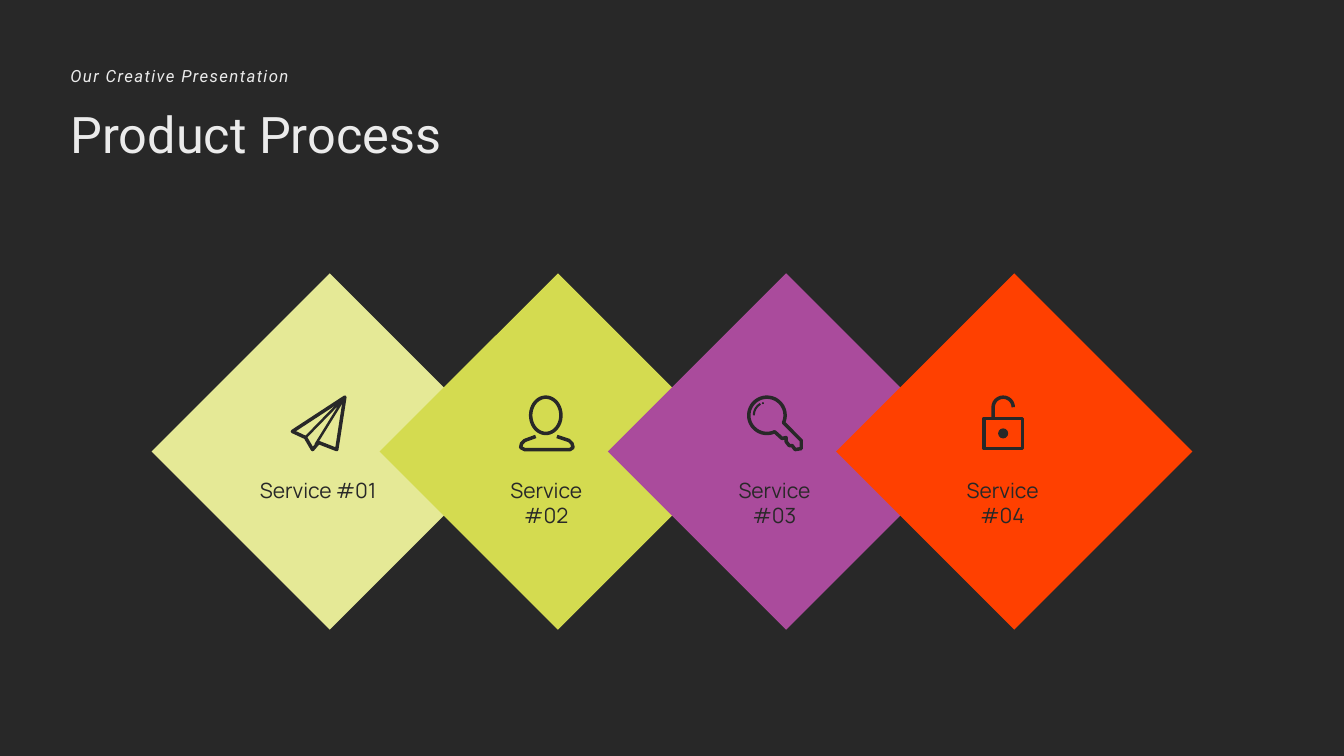
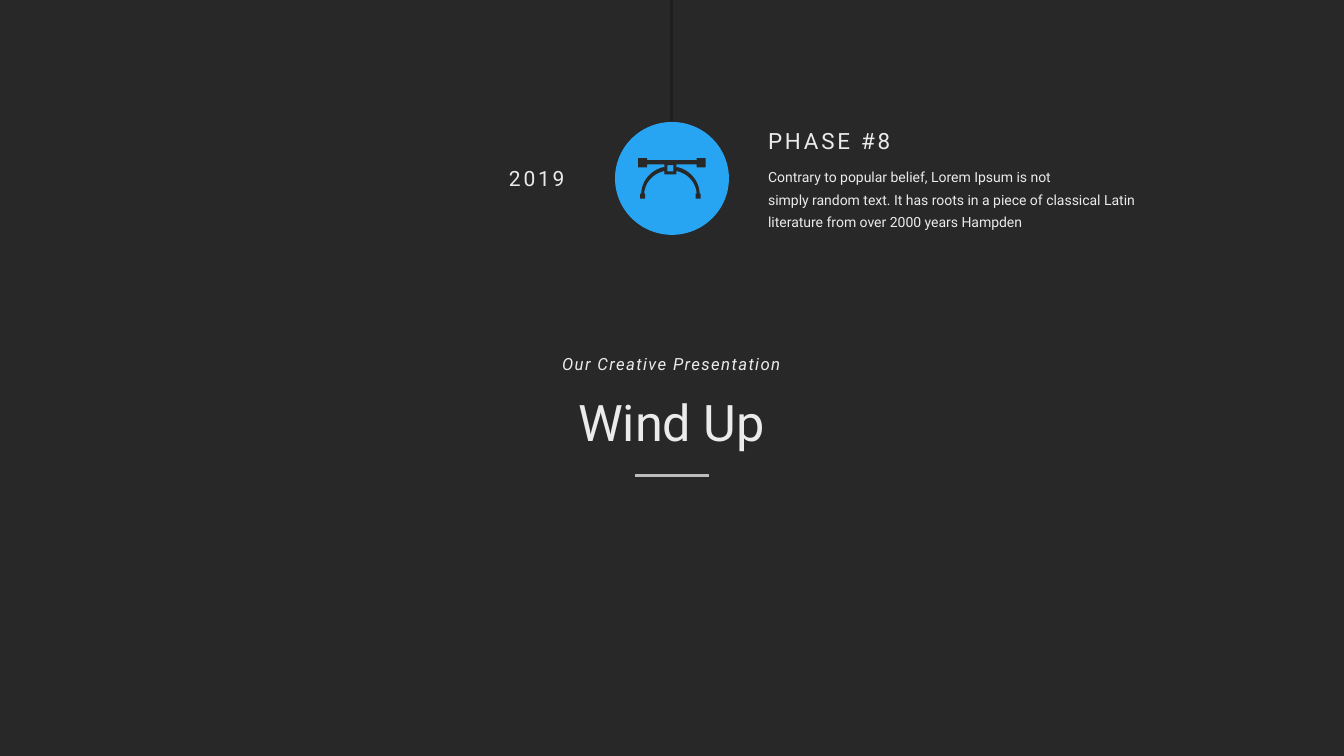
from dataclasses import dataclass
from math import cos, radians, sin
from typing import NamedTuple

from lxml.etree import SubElement
from pptx import Presentation
from pptx.dml.color import RGBColor
from pptx.enum.shapes import MSO_CONNECTOR as Connector, MSO_SHAPE as Preset
from pptx.enum.text import MSO_ANCHOR as Anchor, MSO_AUTO_SIZE as AutoSize, PP_ALIGN as Align
from pptx.oxml.ns import qn
from pptx.util import Inches, Pt

Point = tuple[float, float]


@dataclass(frozen=True)
class TextStyle:
    size: float
    font: str = "Roboto"
    color: str = "EBEBEB"
    italic: bool = False
    spacing: float = 0
    line_height: float | None = None


@dataclass(frozen=True)
class Theme:
    background: str = "282828"
    rule: str = "BDBDBD"
    timeline: str = "1E1E1E"
    phase: str = "27A5F3"
    title: TextStyle = TextStyle(36)
    tagline: TextStyle = TextStyle(12, italic=True, spacing=1)
    service: TextStyle = TextStyle(15, "Manrope", "282828")
    year: TextStyle = TextStyle(15, spacing=2)
    phase_name: TextStyle = TextStyle(16, spacing=2)
    body: TextStyle = TextStyle(10, line_height=16)
    line_width: float = 2


THEME = Theme()
TAGLINE = "Our Creative Presentation"


class Box(NamedTuple):
    left: float
    top: float
    width: float
    height: float

    def moved(self, right: float, down: float = 0) -> "Box":
        return Box(self.left + right, self.top + down, self.width, self.height)

    def lengths(self) -> list:
        return [Inches(value) for value in self]


@dataclass(frozen=True)
class Contour:
    points: list[Point]
    closed: bool = True


@dataclass(frozen=True)
class Outline:
    contours: list[Contour]
    weight: float = 0


@dataclass(frozen=True)
class Dot:
    box: Box


Icon = list[Outline | Dot]


@dataclass(frozen=True)
class Service:
    label: str
    color: str
    icon: Icon


def arc(center: Point, radius: Point, start: int, end: int, steps: int = 12) -> list[Point]:
    angles = [radians(start + (end - start) * step / steps) for step in range(steps + 1)]
    return [(center[0] + radius[0] * cos(angle), center[1] + radius[1] * sin(angle))
            for angle in angles]


NOSE = (0.54, 0.02)
PLANE: Icon = [
    Outline([Contour([NOSE, (0.02, 0.36), (0.15, 0.42), (0.22, 0.54), (0.28, 0.47),
                      (0.46, 0.54)])], 2.5),
    Outline([Contour([(0.15, 0.42), NOSE, (0.25, 0.49)], False)], 1.75),
]
PERSON: Icon = [
    Outline([
        Contour(arc((0.27, 0.2), (0.15, 0.18), 0, 360, 48)),
        Contour([(0.17, 0.41), (0.06, 0.45), (0.03, 0.48), (0.02, 0.52), (0.06, 0.54),
                 (0.51, 0.54), (0.54, 0.52), (0.53, 0.48), (0.5, 0.45), (0.38, 0.41)], False),
    ], 2.5),
]
KEY: Icon = [
    Outline([Contour([*arc((0.2, 0.2), (0.18, 0.18), 65, 384, 48), (0.54, 0.45),
                      (0.54, 0.53), (0.48, 0.54), (0.45, 0.5), (0.42, 0.5), (0.39, 0.46),
                      (0.39, 0.42), (0.35, 0.43)])], 2.5),
    Outline([Contour(arc((0.2, 0.2), (0.13, 0.13), 180, 240), False)], 1.5),
    Dot(Box(0.15, 0.07, 0.02, 0.02)),
]
LOCK: Icon = [
    Outline([
        Contour([(0.09, 0.23), (0.47, 0.23), (0.47, 0.53), (0.09, 0.53)]),
        Contour([(0.18, 0.23), *arc((0.28, 0.12), (0.1, 0.1), 180, 360)], False),
    ], 2.5),
    Dot(Box(0.23, 0.33, 0.1, 0.1)),
]

ARCH_CENTER = (0.32, 0.36)
RIGHT_LEG = [
    (0.38, 0.06), (0.38, 0.09), *arc(ARCH_CENTER, (0.29, 0.28), 285, 358),
    (0.62, 0.35), (0.62, 0.4), (0.57, 0.4), (0.57, 0.35),
    *arc(ARCH_CENTER, (0.26, 0.24), 358, 285), (0.38, 0.13), (0.38, 0.16),
]
LEFT_LEG = [(2 * ARCH_CENTER[0] - x, y) for x, y in reversed(RIGHT_LEG)]
CURVE_TOOL: Icon = [
    Outline([
        Contour([(0, 0), (0.09, 0), (0.09, 0.02), (0.58, 0.02), (0.58, 0), (0.67, 0),
                 (0.67, 0.09), (0.58, 0.09), (0.58, 0.06), *RIGHT_LEG, *LEFT_LEG,
                 (0.09, 0.06), (0.09, 0.09), (0, 0.09)]),
        Contour([(0.29, 0.07), (0.29, 0.13), (0.35, 0.13), (0.35, 0.07)]),
    ]),
]

SERVICES = [
    Service("Service #01", "E5E996", PLANE),
    Service("Service #02", "D4DB50", PERSON),
    Service("Service #03", "AA4B9C", KEY),
    Service("Service #04", "FF4000", LOCK),
]


def rgb(color: str) -> RGBColor:
    return RGBColor.from_string(color)


def write(shape, text: str, style: TextStyle, align: Align = Align.LEFT) -> None:
    frame = shape.text_frame
    frame.text = text
    frame.word_wrap = True
    frame.auto_size = AutoSize.SHAPE_TO_FIT_TEXT
    frame.vertical_anchor = Anchor.TOP
    for para in frame.paragraphs:
        para.alignment = align
        if style.line_height:
            para.line_spacing = Pt(style.line_height)
        for span in para.runs:
            span.font.name = style.font
            span.font.size = Pt(style.size)
            span.font.italic = style.italic
            span.font.color.rgb = rgb(style.color)
            if style.spacing:
                span.font._element.set("spc", str(int(style.spacing * 100)))


def add_text(page, box: Box, text: str, style: TextStyle, align: Align = Align.LEFT) -> None:
    write(page.shapes.add_textbox(*box.lengths()), text, style, align)


def paint(shape, color: str, weight: float = 0) -> None:
    shape.shadow.inherit = False
    if weight:
        shape.fill.background()
        shape.line.color.rgb = rgb(color)
        shape.line.width = Pt(weight)
    else:
        shape.fill.solid()
        shape.fill.fore_color.rgb = rgb(color)
        shape.line.fill.background()


def add_preset(page, box: Box, preset: Preset, color: str):
    shape = page.shapes.add_shape(preset, *box.lengths())
    paint(shape, color)
    return shape


def add_line(page, start: Point, end: Point, color: str) -> None:
    ends = [Inches(value) for value in (*start, *end)]
    line = page.shapes.add_connector(Connector.STRAIGHT, *ends)
    line.line.color.rgb = rgb(color)
    line.line.width = Pt(THEME.line_width)
    SubElement(line._element.spPr, qn("a:effectLst"))


def add_outline(page, left: float, top: float, outline: Outline) -> None:
    builder = None
    for contour in outline.contours:
        points = [(Inches(left + x), Inches(top + y)) for x, y in contour.points]
        if builder is None:
            builder = page.shapes.build_freeform(*points[0])
        else:
            builder.move_to(*points[0])
        builder.add_line_segments(points[1:], close=contour.closed)
    paint(builder.convert_to_shape(), THEME.background, outline.weight)


def add_icon(page, left: float, top: float, icon: Icon) -> None:
    for part in icon:
        if isinstance(part, Dot):
            add_preset(page, part.box.moved(left, top), Preset.OVAL, THEME.background)
        else:
            add_outline(page, left, top, part)


def add_page(deck, title: str, left: float, top: float, align: Align):
    page = deck.slides.add_slide(deck.slide_layouts.get_by_name("Title Only"))
    heading = page.shapes.title
    heading.left, heading.top, heading.width, heading.height = Box(
        left, top + 0.37, 4.36, 0.71).lengths()
    write(heading, title, THEME.title, align)
    add_text(page, Box(left, top, 4.36, 0.3), TAGLINE, THEME.tagline, align)
    return page


def build_process(deck) -> None:
    page = add_page(deck, "Product Process", 0.6, 0.6, Align.LEFT)
    first = Box(2.02, 3.23, 2.5, 2.5)
    step = (8.81 - first.left) / (len(SERVICES) - 1)
    for index, service in enumerate(SERVICES):
        box = first.moved(index * step)
        add_preset(page, box, Preset.RECTANGLE, service.color).rotation = 45
        add_icon(page, box.left + 0.86, 3.92, service.icon)
        add_text(page, Box(box.left + 0.45, 4.69, 1.37, 0.35),
                 service.label, THEME.service, Align.CENTER)


def build_wind_up(deck) -> None:
    page = add_page(deck, "Wind Up", 4.48, 3.46, Align.CENTER)
    add_line(page, (6.3, 4.72), (7.03, 4.72), THEME.rule)
    add_line(page, (6.66, 0), (6.66, 1.21), THEME.timeline)
    add_preset(page, Box(6.1, 1.21, 1.13, 1.12), Preset.OVAL, THEME.phase)
    add_icon(page, 6.33, 1.57, CURVE_TOOL)
    add_text(page, Box(4.95, 1.59, 0.86, 0.35), "2019", THEME.year)
    add_text(page, Box(7.52, 1.21, 2.1, 0.37), "PHASE #8", THEME.phase_name)
    add_text(page, Box(7.52, 1.57, 4.34, 0.76),
             "Contrary to popular belief, Lorem Ipsum is not\n"
             "simply random text. It has roots in a piece of classical Latin "
             "literature from over 2000 years Hampden", THEME.body)


def main() -> None:
    deck = Presentation()
    deck.slide_width, deck.slide_height = Inches(13.33), Inches(7.5)
    fill = deck.slide_master.background.fill
    fill.solid()
    fill.fore_color.rgb = rgb(THEME.background)
    build_process(deck)
    build_wind_up(deck)
    deck.save("out.pptx")


if __name__ == "__main__":
    main()
